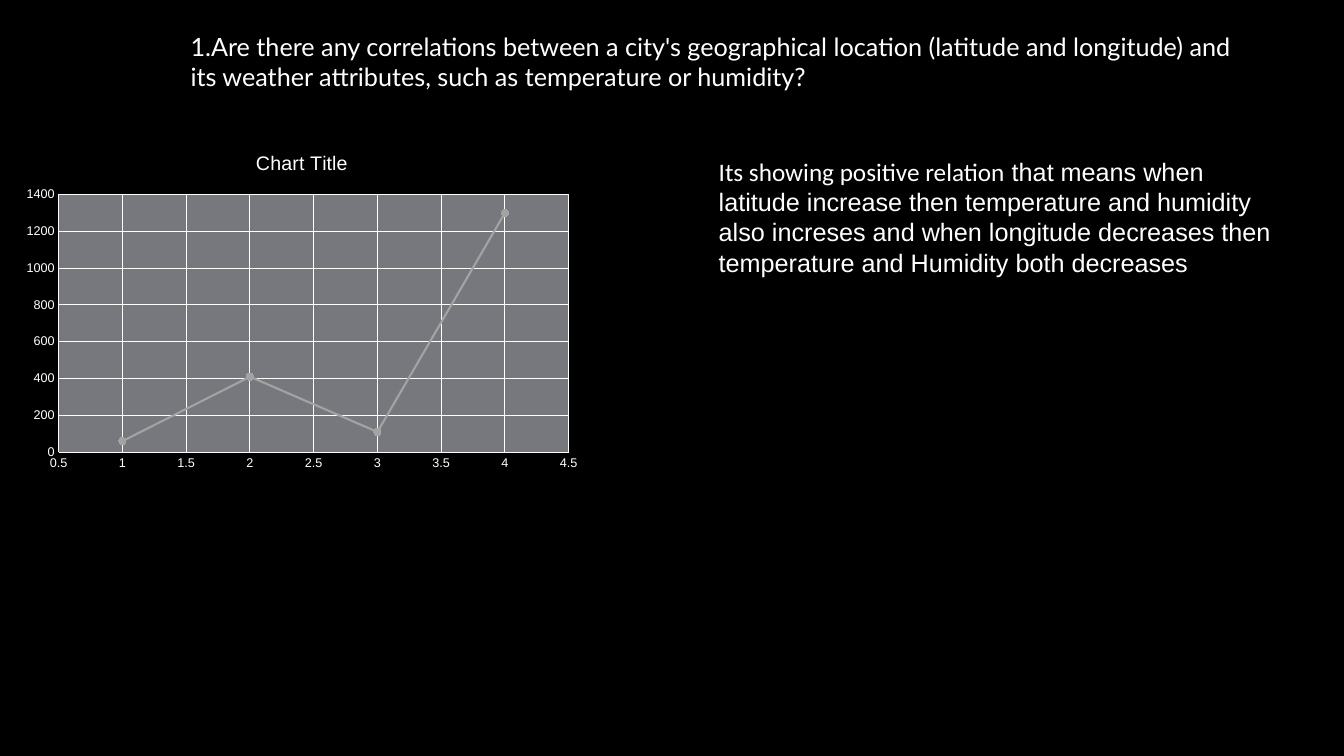
from dataclasses import dataclass

import lxml.etree
import pptx
import pptx.chart.data
import pptx.dml.color
import pptx.enum.chart
import pptx.enum.text
import pptx.oxml
import pptx.oxml.ns
import pptx.util

Inches = pptx.util.Inches
Pt = pptx.util.Pt
WHITE = "FFFFFF"
PLOT_GREY = "77777E"
SERIES_GREY = "A3A3A3"


@dataclass
class TextRun:
    text: str
    font: str


@dataclass
class TextBlock:
    left: float
    top: float
    width: float
    height: float
    runs: list[TextRun]


@dataclass
class AxisScale:
    low: float
    high: float
    step: float


QUESTION = TextBlock(1.79, 0.26, 10.6, 0.71, [
    TextRun("Are there any correlations between a city's geographical location "
            "(latitude and longitude) and its weather attributes, such as "
            "temperature or humidity?", "Lato"),
])
FINDING = TextBlock(7.03, 1.5, 5.69, 1.31, [
    TextRun("Its showing positive relation", "Calibri"),
    TextRun(" that means when latitude increase then temperature and humidity "
            "also increses and when longitude decreases then temperature and "
            "Humidity both decreases", "Arial"),
])
POINTS = [(1, 60), (2, 410), (3, 110), (4, 1300)]
X_SCALE = AxisScale(0.5, 4.5, 0.5)
Y_SCALE = AxisScale(0, 1400, 200)
PLOT_LAYOUT = {"x": 0.076, "y": 0.176, "w": 0.889, "h": 0.75}


def rgb(color: str) -> pptx.dml.color.RGBColor:
    return pptx.dml.color.RGBColor.from_string(color)


def style_font(font, size: float, name: str) -> None:
    font.size = Pt(size)
    font.name = name
    font.bold = False
    font.color.rgb = rgb(WHITE)


def style_line(line, color: str, width: float) -> None:
    line.color.rgb = rgb(color)
    line.width = Pt(width)


def fill_block(sp, block: TextBlock, numbered: bool = False) -> None:
    sp.left, sp.top = Inches(block.left), Inches(block.top)
    sp.width, sp.height = Inches(block.width), Inches(block.height)
    tf = sp.text_frame
    tf.word_wrap = True
    tf.auto_size = pptx.enum.text.MSO_AUTO_SIZE.SHAPE_TO_FIT_TEXT
    tf.vertical_anchor = pptx.enum.text.MSO_ANCHOR.TOP
    p = tf.paragraphs[0]
    p.alignment = pptx.enum.text.PP_ALIGN.LEFT
    if numbered:
        pPr = p._p.get_or_add_pPr()
        pPr.set("marL", "0")
        pPr.set("indent", "0")
        number = lxml.etree.SubElement(pPr, pptx.oxml.ns.qn("a:buAutoNum"))
        number.set("type", "arabicPeriod")
    for run in block.runs:
        r = p.add_run()
        r.text = run.text
        style_font(r.font, 18, run.font)


def style_axis(axis, scale: AxisScale) -> None:
    axis.minimum_scale, axis.maximum_scale = scale.low, scale.high
    axis.major_unit = scale.step
    axis.major_tick_mark = pptx.enum.chart.XL_TICK_MARK.NONE
    axis.minor_tick_mark = pptx.enum.chart.XL_TICK_MARK.NONE
    axis.has_major_gridlines = True
    style_line(axis.major_gridlines.format.line, WHITE, 0.75)
    style_line(axis.format.line, WHITE, 0.75)
    style_font(axis.tick_labels.font, 9, "Arial")
    axis.tick_labels.number_format = "General"
    axis.tick_labels.number_format_is_linked = False


def style_plot_area(chart) -> None:
    qn = pptx.oxml.ns.qn
    plot_area = chart._chartSpace.find(".//" + qn("c:plotArea"))
    for old in plot_area.findall(qn("c:layout")):
        plot_area.remove(old)
    layout = lxml.etree.Element(qn("c:layout"))
    manual = lxml.etree.SubElement(layout, qn("c:manualLayout"))
    settings = {"layoutTarget": "inner", "xMode": "edge", "yMode": "edge", **PLOT_LAYOUT}
    for tag, value in settings.items():
        lxml.etree.SubElement(manual, qn(f"c:{tag}")).set("val", str(value))
    plot_area.insert(0, layout)
    spPr = lxml.etree.SubElement(plot_area, qn("c:spPr"))
    fill = lxml.etree.SubElement(spPr, qn("a:solidFill"))
    lxml.etree.SubElement(fill, qn("a:srgbClr")).set("val", PLOT_GREY)


def add_scatter(slide) -> None:
    data = pptx.chart.data.XyChartData()
    series_data = data.add_series("Series 1")
    for x, y in POINTS:
        series_data.add_data_point(x, y)
    chart = slide.shapes.add_chart(
        pptx.enum.chart.XL_CHART_TYPE.XY_SCATTER_LINES,
        Inches(0.15), Inches(1.33), Inches(5.69), Inches(3.41), data).chart
    style_font(chart.font, 10, "Arial")
    chart.has_legend = False
    chart.has_title = True
    title = chart.chart_title.text_frame
    title.text = "Chart Title"
    style_font(title.paragraphs[0].runs[0].font, 14, "Arial")
    style_axis(chart.category_axis, X_SCALE)
    style_axis(chart.value_axis, Y_SCALE)
    chart.plots[0].vary_by_categories = False
    series = chart.plots[0].series[0]
    series.smooth = False
    style_line(series.format.line, SERIES_GREY, 1.5)
    series.marker.style = pptx.enum.chart.XL_MARKER_STYLE.CIRCLE
    series.marker.size = 5
    series.marker.format.fill.solid()
    series.marker.format.fill.fore_color.rgb = rgb(SERIES_GREY)
    style_line(series.marker.format.line, SERIES_GREY, 0.75)
    style_plot_area(chart)


def main() -> None:
    prs = pptx.Presentation()
    prs.slide_width, prs.slide_height = Inches(13.33), Inches(7.5)
    slide = prs.slides.add_slide(prs.slide_layouts[5])
    slide.background.fill.solid()
    slide.background.fill.fore_color.rgb = rgb("000000")
    fill_block(slide.shapes.title, QUESTION, numbered=True)
    add_scatter(slide)
    fill_block(slide.shapes.add_textbox(0, 0, 0, 0), FINDING)
    prs.save("out.pptx")


if __name__ == "__main__":
    main()
